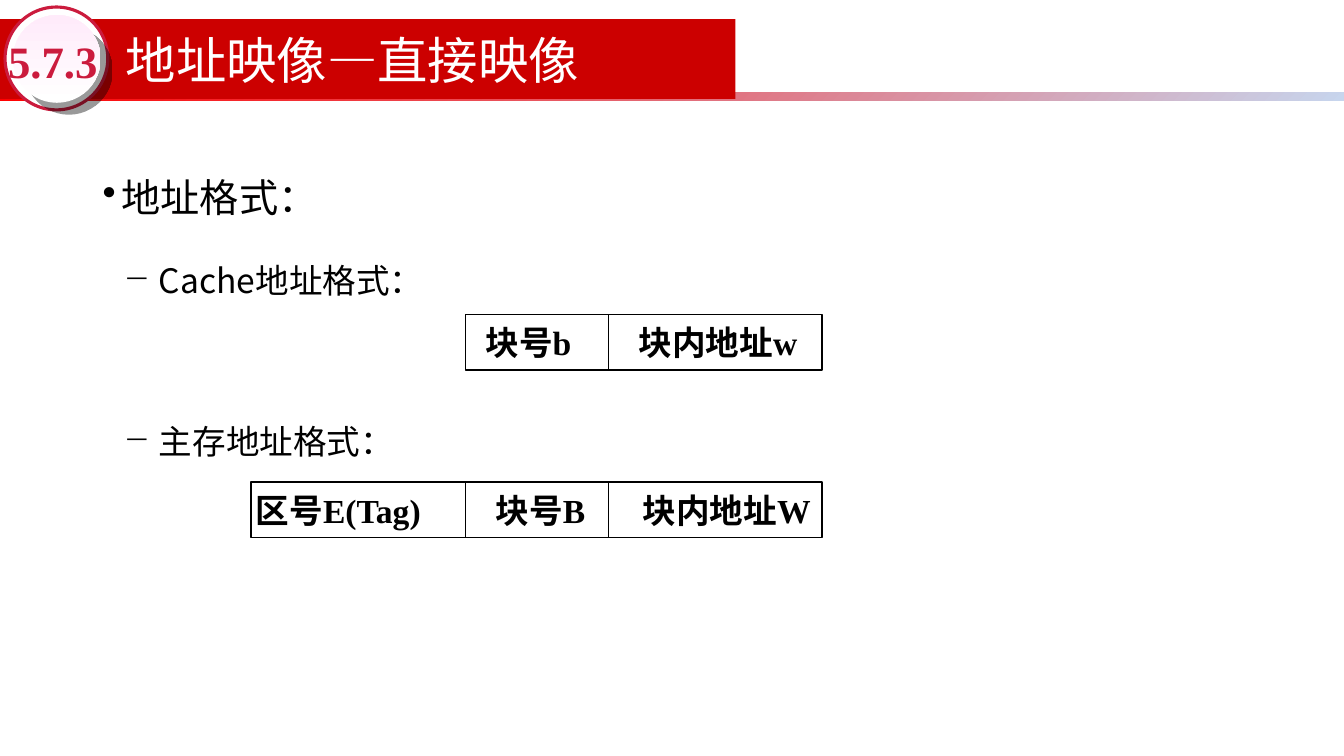
from lxml.etree import SubElement
from pptx import Presentation
from pptx.dml.color import RGBColor
from pptx.enum.shapes import MSO_CONNECTOR, MSO_SHAPE
from pptx.enum.text import MSO_ANCHOR, PP_ALIGN
from pptx.oxml.ns import qn
from pptx.util import Inches, Pt

CJK = "Noto Sans CJK SC"
SERIF = "Times New Roman"


def rgb(value):
    return RGBColor.from_string(value)


def write(p, text, size, font, color, bold=False):
    r = p.add_run()
    r.text = text
    for name, value in dict(size=Pt(size), name=font, bold=bold).items():
        setattr(r.font, name, value)
    r.font.color.rgb = rgb(color)
    SubElement(r.font._element, qn("a:ea"), typeface=CJK)


prs = Presentation()
prs.slide_width, prs.slide_height = Inches(13.34), Inches(7.5)
s = prs.slides.add_slide(prs.slide_layouts[6])

header = [
    (MSO_SHAPE.RECTANGLE, (0, 0.92, 13.34, 0.08), ("FF0000", "C7D5ED"), 315, None),
    (MSO_SHAPE.RECTANGLE, (0, 0.19, 7.3, 0.79), ("CC0000",), 0, None),
    (MSO_SHAPE.OVAL, (0.05, 0.07, 1.02, 1.02), ("FFFFFF",), 0, "CB1B3D"),
    (MSO_SHAPE.OVAL, (0.13, 0.15, 0.87, 0.87), ("FFFFFF", "FFEBFA"), 90, None),
]
for kind, box, colors, angle, outline in header:
    sp = s.shapes.add_shape(kind, *map(Inches, box))
    sp.shadow.inherit = False
    if len(colors) == 2:
        sp.fill.gradient()
        sp.fill.gradient_angle = angle
        for stop, color in zip(sp.fill.gradient_stops, colors):
            stop.color.rgb = rgb(color)
    else:
        sp.fill.solid()
        sp.fill.fore_color.rgb = rgb(colors[0])
    if outline:
        sp.line.color.rgb = rgb(outline)
        sp.line.width = Pt(2.25)
    else:
        sp.line.fill.background()

effects = sp._element.spPr.find(qn("a:effectLst"))
shadow = SubElement(effects, qn("a:outerShdw"), dist=str(Pt(12.1)), dir="2700000",
                    algn="ctr", rotWithShape="0")
black = SubElement(shadow, qn("a:srgbClr"), val="000000")
SubElement(black, qn("a:alpha"), val="40000")

labels = [
    ((1.15, 0.18, 7.44, 0.82), "地址映像—直接映像", 36, CJK, "FFFFFF", False, 0.1),
    ((0.08, 0.33, 0.93, 0.54), "5.7.3", 32, SERIF, "CB1B3D", True, 0),
]
for box, text, size, font, color, bold, margin in labels:
    tf = s.shapes.add_textbox(*map(Inches, box)).text_frame
    layout = dict(word_wrap=True, vertical_anchor=MSO_ANCHOR.MIDDLE, margin_left=Inches(margin),
                  margin_right=0, margin_top=0, margin_bottom=0)
    for name, value in layout.items():
        setattr(tf, name, value)
    write(tf.paragraphs[0], text, size, font, color, bold)

tf = s.shapes.add_textbox(*map(Inches, (0.92, 1.17, 11.5, 5.44))).text_frame
tf.word_wrap = True
outline = [
    ("地址格式：", 0, 28, "•", 0.19, 0.19, 70, 0),
    ("Cache地址格式：", 1, 24, "−", 0.56, 0.35, 57, 0),
    ("主存地址格式：", 1, 24, "−", 0.56, 0.35, 57, 58),
]
for i, (text, level, size, bullet, left, hang, spacing, before) in enumerate(outline):
    p = tf.add_paragraph() if i else tf.paragraphs[0]
    pPr = p._p.get_or_add_pPr()
    pPr.set("marL", str(Inches(left)))
    pPr.set("indent", str(-Inches(hang)))
    SubElement(SubElement(pPr, qn("a:buClr")), qn("a:srgbClr"), val="000000")
    SubElement(pPr, qn("a:buChar"), char=bullet)
    layout = dict(level=level, alignment=PP_ALIGN.JUSTIFY, line_spacing=Pt(spacing),
                  space_before=Pt(before))
    for name, value in layout.items():
        setattr(p, name, value)
    write(p, text, size, CJK, "000000")

right, height = 8.16, 0.55
formats = [
    (4.62, 3.12, "块号b\t块内地址w", 0.2, (1.52,), (6.04,)),
    (2.49, 4.78, "区号E(Tag)\t块号B\t块内地址W", 0.05, (2.38, 3.84), (4.62, 6.04)),
]
for left, top, text, margin, tabs, dividers in formats:
    sp = s.shapes.add_shape(MSO_SHAPE.RECTANGLE, Inches(left), Inches(top),
                            Inches(right - left), Inches(height))
    sp.shadow.inherit = False
    sp.fill.background()
    sp.line.color.rgb = rgb("000000")
    sp.line.width = Pt(1)
    tf = sp.text_frame
    layout = dict(word_wrap=True, vertical_anchor=MSO_ANCHOR.MIDDLE,
                  margin_left=Inches(margin), margin_right=0)
    for name, value in layout.items():
        setattr(tf, name, value)
    p = tf.paragraphs[0]
    p.alignment = PP_ALIGN.LEFT
    stops = SubElement(p._p.get_or_add_pPr(), qn("a:tabLst"))
    for tab in tabs:
        SubElement(stops, qn("a:tab"), pos=str(Inches(tab)), algn="l")
    write(p, text, 24, SERIF, "000000", True)
    for x in dividers:
        line = s.shapes.add_connector(MSO_CONNECTOR.STRAIGHT, Inches(x), Inches(top),
                                      Inches(x), Inches(top + height))
        line.line.color.rgb = rgb("000000")
        line.line.width = Pt(1)
        SubElement(line._element.spPr, qn("a:effectLst"))

prs.save("out.pptx")
